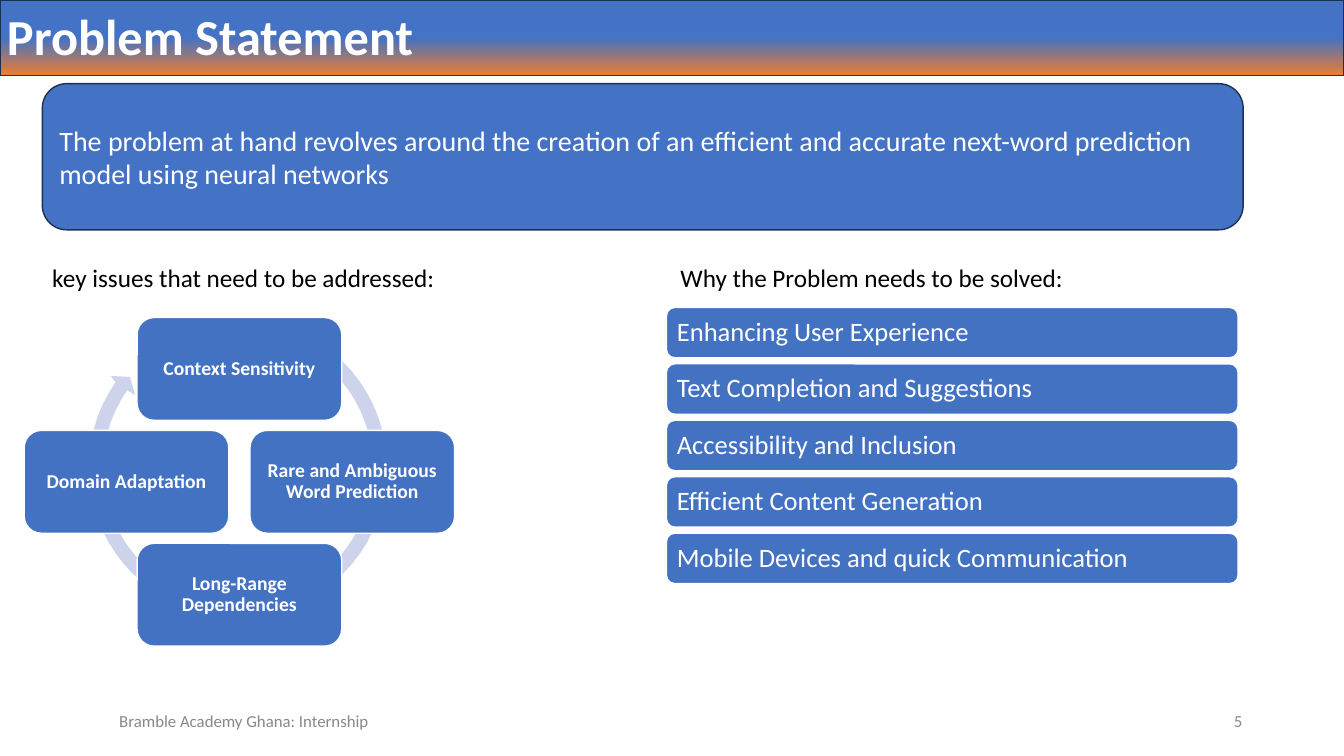
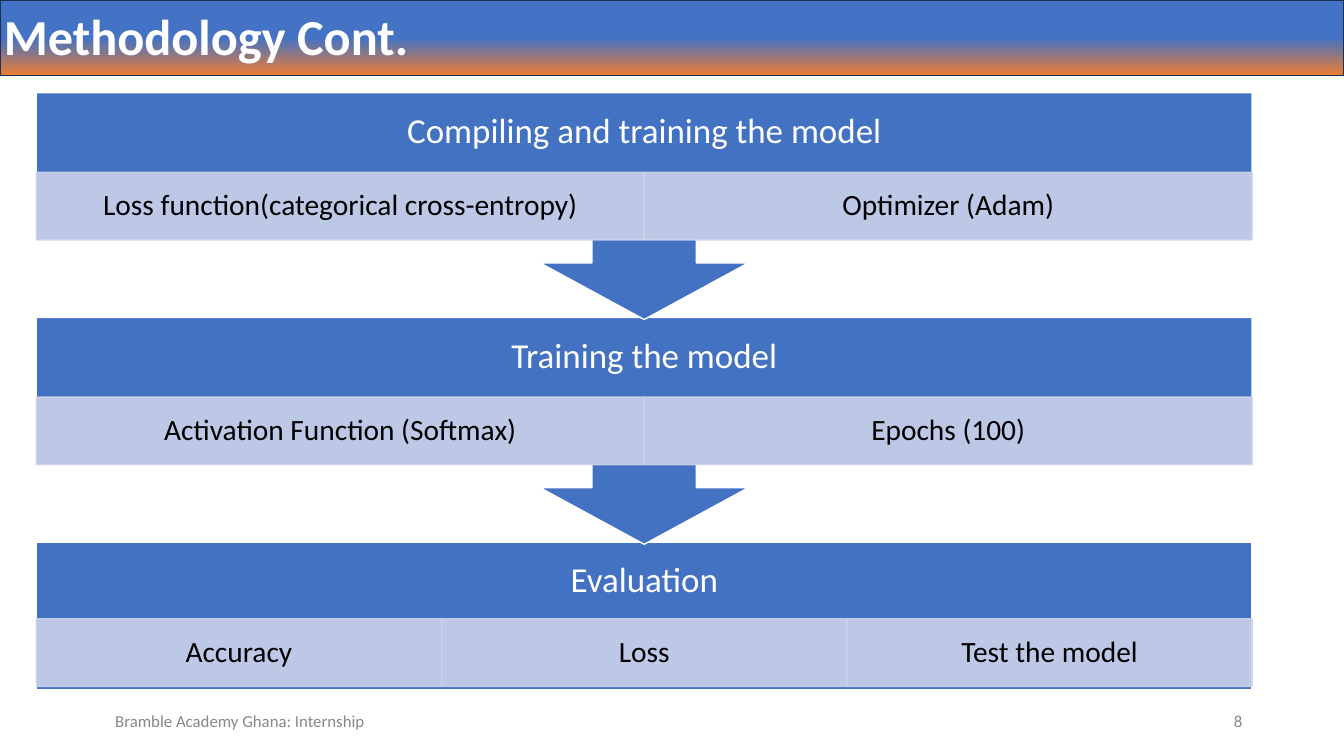
"""Builds two slides on next-word prediction: the problem statement and the methodology."""
from copy import deepcopy
from math import cos, radians, sin

from lxml import etree
from pptx import Presentation
from pptx.dml.color import RGBColor
from pptx.enum.shapes import MSO_SHAPE
from pptx.enum.text import MSO_ANCHOR, PP_ALIGN
from pptx.oxml.ns import qn
from pptx.util import Emu, Pt

PX = 9144
FONT = "Calibri"
BLUE, ORANGE, NAVY = "4472C4", "ED7D31", "1C3052"
DIAGRAM_BLUE, PALE = "4372C3", "CCD3EA"
WHITE, BLACK, GREY = "FFFFFF", "000000", "888888"
LEFT, CENTER, RIGHT = PP_ALIGN.LEFT, PP_ALIGN.CENTER, PP_ALIGN.RIGHT
FOOTER = "Bramble Academy Ghana: Internship"


def paint(shape, fill, line=None):
    """Gives a shape a flat fill and a thin outline, or no outline."""
    shape.shadow.inherit = False
    shape.fill.solid()
    shape.fill.fore_color.rgb = RGBColor.from_string(fill)
    if line:
        shape.line.color.rgb = RGBColor.from_string(line)
        shape.line.width = Pt(1)
    else:
        shape.line.fill.background()


def write(shape, text, size, color, align=LEFT, bold=False, anchor=MSO_ANCHOR.MIDDLE,
          insets=(10, 5, 10, 5), spacing=1.0):
    """Sets one paragraph of text in a shape, with insets in px."""
    frame = shape.text_frame
    frame.word_wrap = True
    frame.vertical_anchor = anchor
    frame.margin_left, frame.margin_top, frame.margin_right, frame.margin_bottom = [
        Emu(inset * PX) for inset in insets]
    frame.text = text
    paragraph = frame.paragraphs[0]
    paragraph.alignment = align
    paragraph.line_spacing = spacing
    font = paragraph.runs[0].font
    font.name, font.size, font.bold = FONT, Pt(size), bold
    font.color.rgb = RGBColor.from_string(color)


presentation = Presentation()
presentation.slide_width = Emu(1333 * PX)
presentation.slide_height = Emu(750 * PX)

slides = []
for title, title_left, title_width, footer_left, number in [
    ("Problem Statement", -50, 517, 17, "5"),
    ("Methodology Cont.", -58, 525, 13, "8"),
]:
    slide = presentation.slides.add_slide(presentation.slide_layouts[6])
    slides.append(slide)

    band = slide.shapes.add_shape(MSO_SHAPE.RECTANGLE, 0, 0, 1333 * PX, 75 * PX)
    paint(band, BLUE, NAVY)
    band.fill.gradient()
    band.fill.gradient_angle = 90
    for stop, color, position in zip(band.fill.gradient_stops, (ORANGE, BLUE), (0, 0.5)):
        stop.color.rgb = RGBColor.from_string(color)
        stop.position = position
    stop_list = band._element.spPr.find(".//" + qn("a:gsLst"))
    last_stop = deepcopy(stop_list[-1])
    last_stop.set("pos", "100000")
    stop_list.append(last_stop)

    for text, left, top, width, height, size, color, align, bold, anchor in [
        (FOOTER, footer_left, 695, 450, 40, 12, GREY, CENTER, False, MSO_ANCHOR.MIDDLE),
        (number, 942, 695, 300, 40, 12, GREY, RIGHT, False, MSO_ANCHOR.MIDDLE),
        (title, title_left, 0, title_width, 71, 36, WHITE, CENTER, True, MSO_ANCHOR.TOP),
    ]:
        box = slide.shapes.add_textbox(left * PX, top * PX, width * PX, height * PX)
        write(box, text, size, color, align, bold, anchor)

problem_slide, method_slide = slides

RING_X, RING_Y, OUTER, INNER = 236, 464, 148, 134
sweep = range(-60, 216, 5)
outer_arc = [(RING_X + OUTER * cos(radians(angle)), RING_Y + OUTER * sin(radians(angle)))
             for angle in sweep]
inner_arc = [(RING_X + INNER * cos(radians(angle)), RING_Y + INNER * sin(radians(angle)))
             for angle in reversed(sweep)]
arrowhead = [(110, 373), (129, 374), (134, 392)]
outline = [(x * PX, y * PX) for x, y in outer_arc + arrowhead + inner_arc]
builder = problem_slide.shapes.build_freeform(*outline[0])
builder.add_line_segments(outline[1:], close=True)
paint(builder.convert_to_shape(), PALE)

CYCLE_X, CYCLE_Y, CYCLE_STEP, NODE_WIDTH, NODE_HEIGHT = 237, 478, 112, 203, 102
for issue, across, down in [
    ("Context Sensitivity", 0, -1),
    ("Rare and Ambiguous Word Prediction", 1, 0),
    ("Long-Range Dependencies", 0, 1),
    ("Domain Adaptation", -1, 0),
]:
    node_left = CYCLE_X + across * CYCLE_STEP - NODE_WIDTH // 2
    node_top = CYCLE_Y + down * CYCLE_STEP - NODE_HEIGHT // 2
    node = problem_slide.shapes.add_shape(
        MSO_SHAPE.ROUNDED_RECTANGLE, node_left * PX, node_top * PX,
        NODE_WIDTH * PX, NODE_HEIGHT * PX)
    paint(node, DIAGRAM_BLUE, WHITE)
    write(node, issue, 14, WHITE, CENTER, True, insets=(6, 6, 6, 6), spacing=0.9)

statement = problem_slide.shapes.add_shape(
    MSO_SHAPE.ROUNDED_RECTANGLE, 42 * PX, 83 * PX, 1191 * PX, 145 * PX)
paint(statement, BLUE, NAVY)
write(statement, "The problem at hand revolves around the creation of an efficient and accurate "
      "next-word prediction model using neural networks", 20, WHITE)

for heading, left in [
    ("key issues that need to be addressed:", 42),
    ("Why the Problem needs to be solved:", 665),
]:
    box = problem_slide.shapes.add_textbox(left * PX, 255 * PX, 500 * PX, 40 * PX)
    write(box, heading, 18, BLACK, anchor=MSO_ANCHOR.TOP)

for index, reason in enumerate([
    "Enhancing User Experience",
    "Text Completion and Suggestions",
    "Accessibility and Inclusion",
    "Efficient Content Generation",
    "Mobile Devices and quick Communication",
]):
    bar = problem_slide.shapes.add_shape(
        MSO_SHAPE.ROUNDED_RECTANGLE, 661 * PX, (305 + 56 * index) * PX, 567 * PX, 50 * PX)
    paint(bar, DIAGRAM_BLUE, WHITE)
    write(bar, reason, 19, WHITE, insets=(8, 8, 8, 8), spacing=0.9)

STAGE_LEFT, STAGE_WIDTH = 36, 1206
for stage, top, preset, height, cell_offset, details in [
    ("Evaluation", 538, MSO_SHAPE.RECTANGLE, 146, 76,
     ["Accuracy", "Loss", "Test the model"]),
    ("Training the model", 315, MSO_SHAPE.DOWN_ARROW_CALLOUT, 225, 79,
     ["Activation Function (Softmax)", "Epochs (100)"]),
    ("Compiling and training the model", 92, MSO_SHAPE.DOWN_ARROW_CALLOUT, 225, 79,
     ["Loss function(categorical cross-entropy)", "Optimizer (Adam)"]),
]:
    block = method_slide.shapes.add_shape(
        preset, STAGE_LEFT * PX, top * PX, STAGE_WIDTH * PX, height * PX)
    if preset == MSO_SHAPE.DOWN_ARROW_CALLOUT:
        for index, ratio in enumerate((0.46, 0.46, 0.25, 0.65)):
            block.adjustments[index] = ratio
    paint(block, DIAGRAM_BLUE, WHITE)
    write(block, stage, 25, WHITE, CENTER, insets=(19, 19, 19, 87), spacing=0.9)

    cell_width = STAGE_WIDTH // len(details)
    for index, detail in enumerate(details):
        cell = method_slide.shapes.add_shape(
            MSO_SHAPE.RECTANGLE, (STAGE_LEFT + index * cell_width) * PX,
            (top + cell_offset) * PX, cell_width * PX, 67 * PX)
        paint(cell, PALE, PALE)
        for color_element in cell._element.spPr.iter(qn("a:srgbClr")):
            etree.SubElement(color_element, qn("a:alpha")).set("val", "89000")
        write(cell, detail, 21, BLACK, CENTER, insets=(16, 3, 16, 3), spacing=0.9)

presentation.save("out.pptx")
